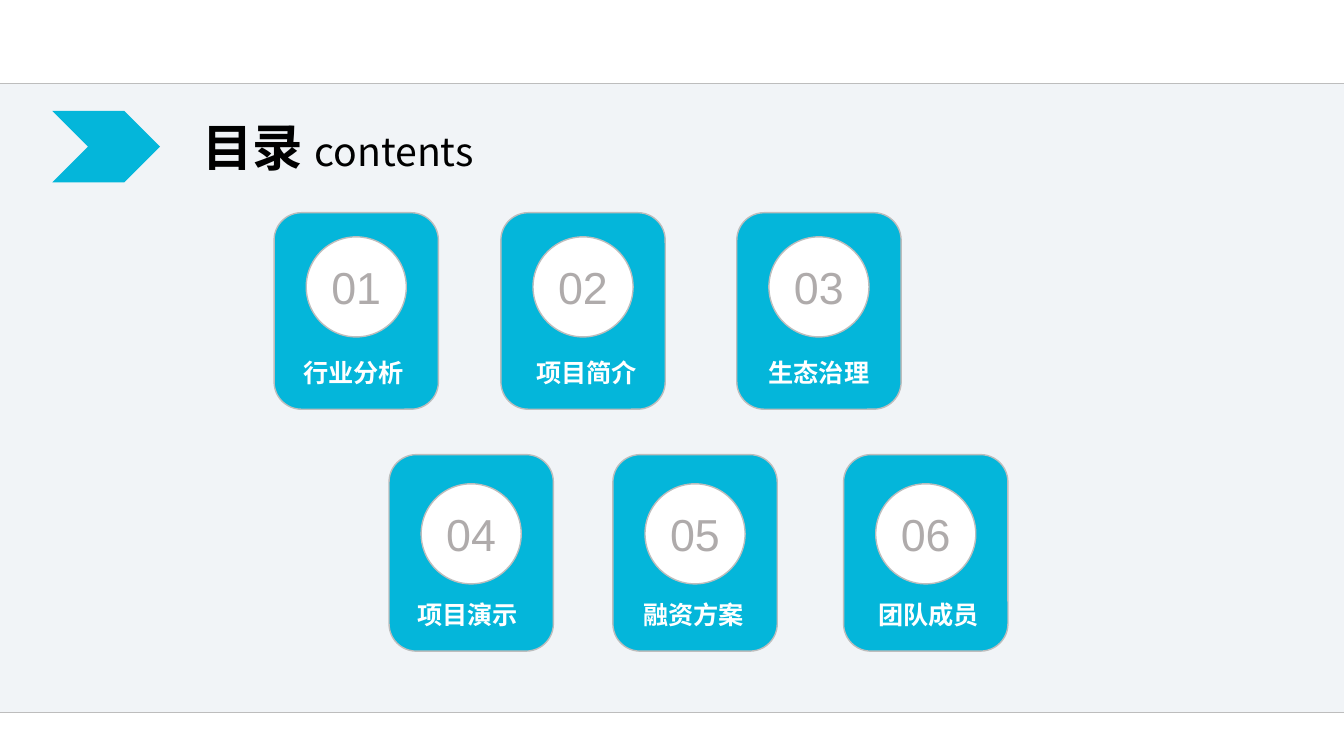
import lxml.etree
import pptx
import pptx.dml.color
import pptx.enum.shapes
import pptx.enum.text
import pptx.oxml.ns
import pptx.util

Pt = pptx.util.Pt
RGBColor = pptx.dml.color.RGBColor
SHAPE = pptx.enum.shapes.MSO_SHAPE
ALIGN = pptx.enum.text.PP_ALIGN
ANCHOR = pptx.enum.text.MSO_ANCHOR

CYAN = RGBColor(0x04, 0xB6, 0xDA)
PALE = RGBColor(0xF1, 0xF4, 0xF7)
BORDER = RGBColor(0xBD, 0xBD, 0xBD)
NUMBER_GRAY = RGBColor(0xAF, 0xAB, 0xAB)
WHITE = RGBColor(0xFF, 0xFF, 0xFF)
BLACK = RGBColor(0, 0, 0)
CJK_FONT = "Noto Sans CJK SC"

CARD_WIDTH, CARD_HEIGHT = 117.4, 140.4
CIRCLE_SIZE = 71.5
ROWS = [
    (151.9, 17.3, [(195.8, "行业分析", -2), (357.8, "项目简介", 2.5), (526.3, "生态治理", 0)]),
    (324.7, 20.9, [(277.9, "项目演示", -2.5), (437.8, "融资方案", -1), (602.6, "团队成员", 2)]),
]


def add_text(paragraph, text, size, color, font=CJK_FONT, bold=False, align=ALIGN.LEFT):
    paragraph.alignment = align
    run = paragraph.add_run()
    run.text = text
    run.font.size = Pt(size)
    run.font.bold = bold
    run.font.color.rgb = color
    run.font.name = font
    east_asian = lxml.etree.SubElement(run.font._element, pptx.oxml.ns.qn("a:ea"))
    east_asian.set("typeface", font)


def add_block(slide, preset, box, fill, border=BORDER):
    block = slide.shapes.add_shape(preset, *map(Pt, box))
    block.shadow.inherit = False
    block.fill.solid()
    block.fill.fore_color.rgb = fill
    if border is None:
        block.line.fill.background()
    else:
        block.line.color.rgb = border
        block.line.width = Pt(1)
    return block


def add_heading(slide, box):
    left, top, width, height = box
    add_block(slide, SHAPE.CHEVRON, (left, top, 77, height), CYAN, border=None)
    title = slide.shapes.title
    title.left, title.top = Pt(left + 100), Pt(top)
    title.width, title.height = Pt(width - 100), Pt(height)
    frame = title.text_frame
    frame.word_wrap = True
    frame.auto_size = pptx.enum.text.MSO_AUTO_SIZE.NONE
    frame.vertical_anchor = ANCHOR.TOP
    add_text(frame.paragraphs[0], "目录 ", 36, BLACK, bold=True)
    add_text(frame.paragraphs[0], "contents", 28, BLACK)


def add_card(slide, box, number, topic, circle_drop, topic_shift):
    left, top, width, height = box
    add_block(slide, SHAPE.ROUNDED_RECTANGLE, box, CYAN)
    circle_left = left + (width - CIRCLE_SIZE) / 2
    circle = add_block(
        slide, SHAPE.OVAL, (circle_left, top + circle_drop, CIRCLE_SIZE, CIRCLE_SIZE), WHITE
    )
    circle.text_frame.vertical_anchor = ANCHOR.MIDDLE
    add_text(circle.text_frame.paragraphs[0], f"{number:02}", 32, NUMBER_GRAY,
             font="Arial", align=ALIGN.CENTER)
    label = slide.shapes.add_textbox(Pt(left + topic_shift), Pt(top + 99.8), Pt(width), Pt(28.8))
    label.text_frame.word_wrap = True
    add_text(label.text_frame.paragraphs[0], topic, 18, WHITE, bold=True, align=ALIGN.CENTER)


def add_contents(slide):
    number = 1
    for top, circle_drop, cards in ROWS:
        for left, topic, topic_shift in cards:
            add_card(slide, (left, top, CARD_WIDTH, CARD_HEIGHT), number, topic,
                     circle_drop, topic_shift)
            number += 1


def main():
    deck = pptx.Presentation()
    deck.slide_width, deck.slide_height = Pt(960), Pt(540)
    slide = deck.slides.add_slide(deck.slide_layouts.get_by_name("Title Only"))
    band = add_block(slide, SHAPE.RECTANGLE, (-1.4, 59.8, 962, 449.3), PALE)
    slide.shapes.title.element.addprevious(band.element)
    add_heading(slide, (37.4, 79.2, 333.4, 51.1))
    add_contents(slide)
    deck.save("out.pptx")


if __name__ == "__main__":
    main()
